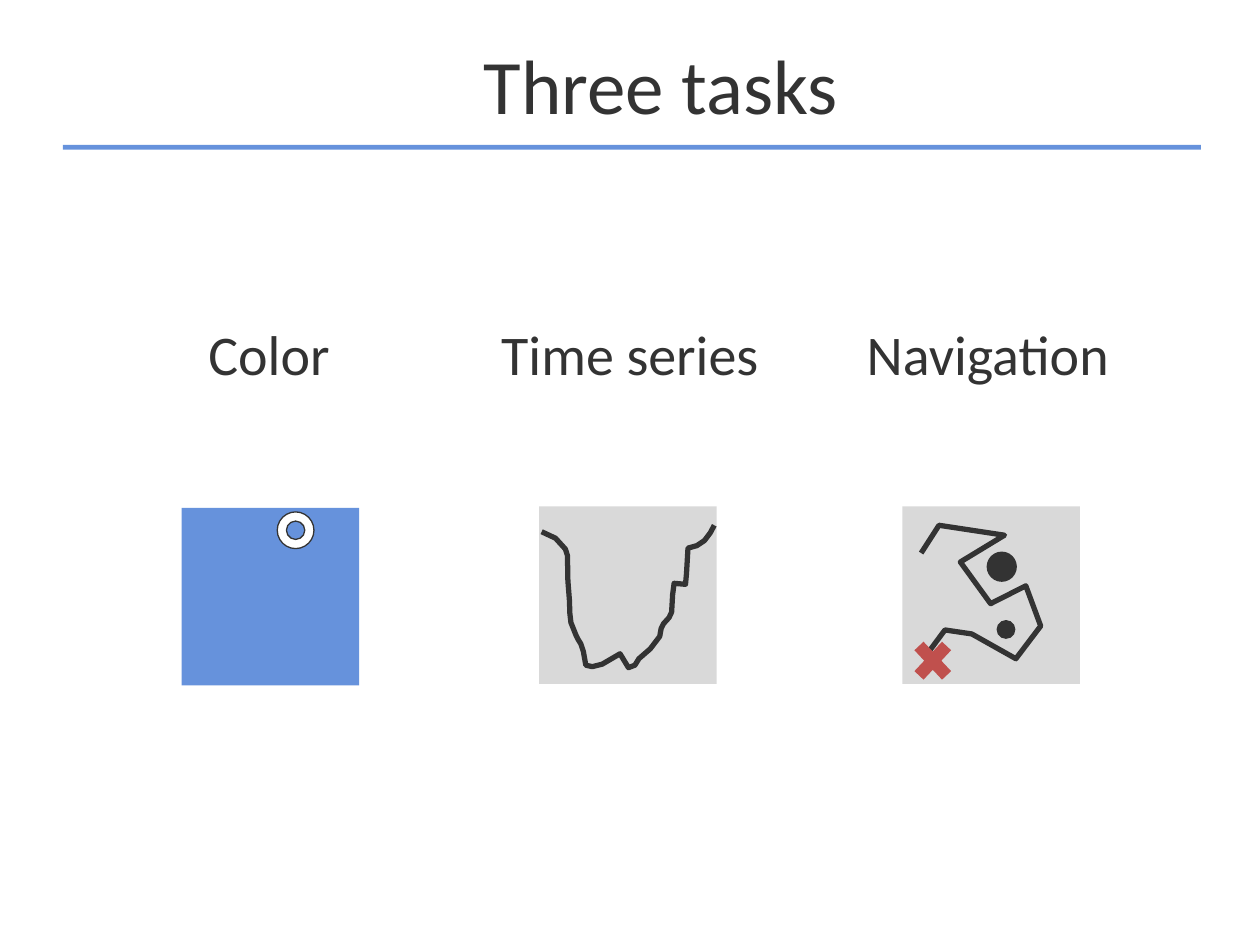
from pptx import Presentation
from pptx.dml.color import RGBColor
from pptx.enum.shapes import MSO_SHAPE as Preset
from pptx.enum.text import MSO_ANCHOR as Anchor, PP_ALIGN as Align
from pptx.util import Cm, Pt

BLUE = RGBColor(0x66, 0x92, 0xDC)
DARK = RGBColor(0x33, 0x33, 0x33)
GRAY = RGBColor(0xD9, 0xD9, 0xD9)
RED = RGBColor(0xC0, 0x50, 0x4D)
WHITE = RGBColor(0xFF, 0xFF, 0xFF)

TILE_SIZE = 3.58
LABEL_TOP, LABEL_HEIGHT = 6.3, 1.63

# label, label left, label width, tile left, tile top, tile color
TASKS = [
    ("Color", 3.94, 2.97, 3.66, 10.24, BLUE),
    ("Time series", 9.83, 5.74, 10.87, 10.21, GRAY),
    ("Navigation", 17.17, 5.49, 18.19, 10.21, GRAY),
]

# Polylines, in cm from the corner of their tile
LINES = {
    "Time series": [
        (3.53, 0.38), (3.45, 0.53), (3.33, 0.69), (3.18, 0.79), (3, 0.84),
        (2.97, 1.35), (2.95, 1.57), (2.72, 1.55), (2.69, 1.78), (2.67, 2.13),
        (2.62, 2.24), (2.51, 2.36), (2.46, 2.46), (2.43, 2.62), (2.24, 2.87),
        (2.01, 3.07), (1.93, 3.2), (1.8, 3.25), (1.63, 2.97), (1.27, 3.18),
        (1.07, 3.23), (0.94, 3.2), (0.89, 2.92), (0.84, 2.77), (0.79, 2.69),
        (0.74, 2.59), (0.64, 2.34), (0.62, 2.16), (0.61, 1.88), (0.58, 1.5),
        (0.57, 0.99), (0.53, 0.86), (0.33, 0.64), (0.05, 0.51),
    ],
    "Navigation": [
        (0.38, 0.94), (0.74, 0.38), (2.06, 0.58), (1.17, 1.12), (1.78, 1.96),
        (2.49, 1.6), (2.79, 2.41), (2.29, 3.07), (1.4, 2.57), (0.86, 2.49),
        (0.43, 3.07),
    ],
}

# Markers: preset, left, top, width, height (from the tile corner), fill, outline
MARKERS = {
    "Color": [(Preset.DONUT, 1.93, 0.08, 0.74, 0.74, WHITE, DARK)],
    "Navigation": [
        (Preset.MATH_MULTIPLY, 0.08, 2.54, 1.07, 1.14, RED, None),
        (Preset.OVAL, 1.7, 0.91, 0.61, 0.61, DARK, None),
        (Preset.OVAL, 1.9, 2.29, 0.38, 0.38, DARK, None),
    ],
}


def add_preset(slide, preset, left, top, width, height, fill, outline=None):
    shape = slide.shapes.add_shape(preset, Cm(left), Cm(top), Cm(width), Cm(height))
    shape.shadow.inherit = False
    shape.fill.solid()
    shape.fill.fore_color.rgb = fill
    if outline is None:
        shape.line.fill.background()
    else:
        shape.line.color.rgb = outline
        shape.line.width = Pt(0.75)


def add_polyline(slide, left, top, points):
    start, *rest = [(Cm(left + x), Cm(top + y)) for x, y in points]
    builder = slide.shapes.build_freeform(*start)
    builder.add_line_segments(rest, close=False)
    shape = builder.convert_to_shape()
    shape.shadow.inherit = False
    shape.fill.background()
    shape.line.color.rgb = DARK
    shape.line.width = Pt(3)


def add_text(slide, text, left, top, width, height, size, wrap=False):
    frame = slide.shapes.add_textbox(Cm(left), Cm(top), Cm(width), Cm(height)).text_frame
    frame.word_wrap = wrap
    frame.vertical_anchor = Anchor.MIDDLE
    paragraph = frame.paragraphs[0]
    paragraph.text = text
    paragraph.alignment = Align.CENTER
    paragraph.font.name = "Calibri"
    paragraph.font.size = Pt(size)
    paragraph.font.color.rgb = DARK


def main():
    presentation = Presentation()
    presentation.slide_width, presentation.slide_height = Cm(25.4), Cm(19.05)
    slide = presentation.slides.add_slide(presentation.slide_layouts[6])

    add_preset(slide, Preset.RECTANGLE, 1.27, 2.92, 22.94, 0.1, BLUE)
    add_text(slide, "Three tasks", 3.38, 0.3, 19.89, 2.79, 44, wrap=True)

    for label, label_left, label_width, left, top, color in TASKS:
        add_text(slide, label, label_left, LABEL_TOP, label_width, LABEL_HEIGHT, 32)
        add_preset(slide, Preset.RECTANGLE, left, top, TILE_SIZE, TILE_SIZE, color)
        if label in LINES:
            add_polyline(slide, left, top, LINES[label])
        for preset, x, y, width, height, fill, outline in MARKERS.get(label, []):
            add_preset(slide, preset, left + x, top + y, width, height, fill, outline)

    presentation.save("out.pptx")


if __name__ == "__main__":
    main()
